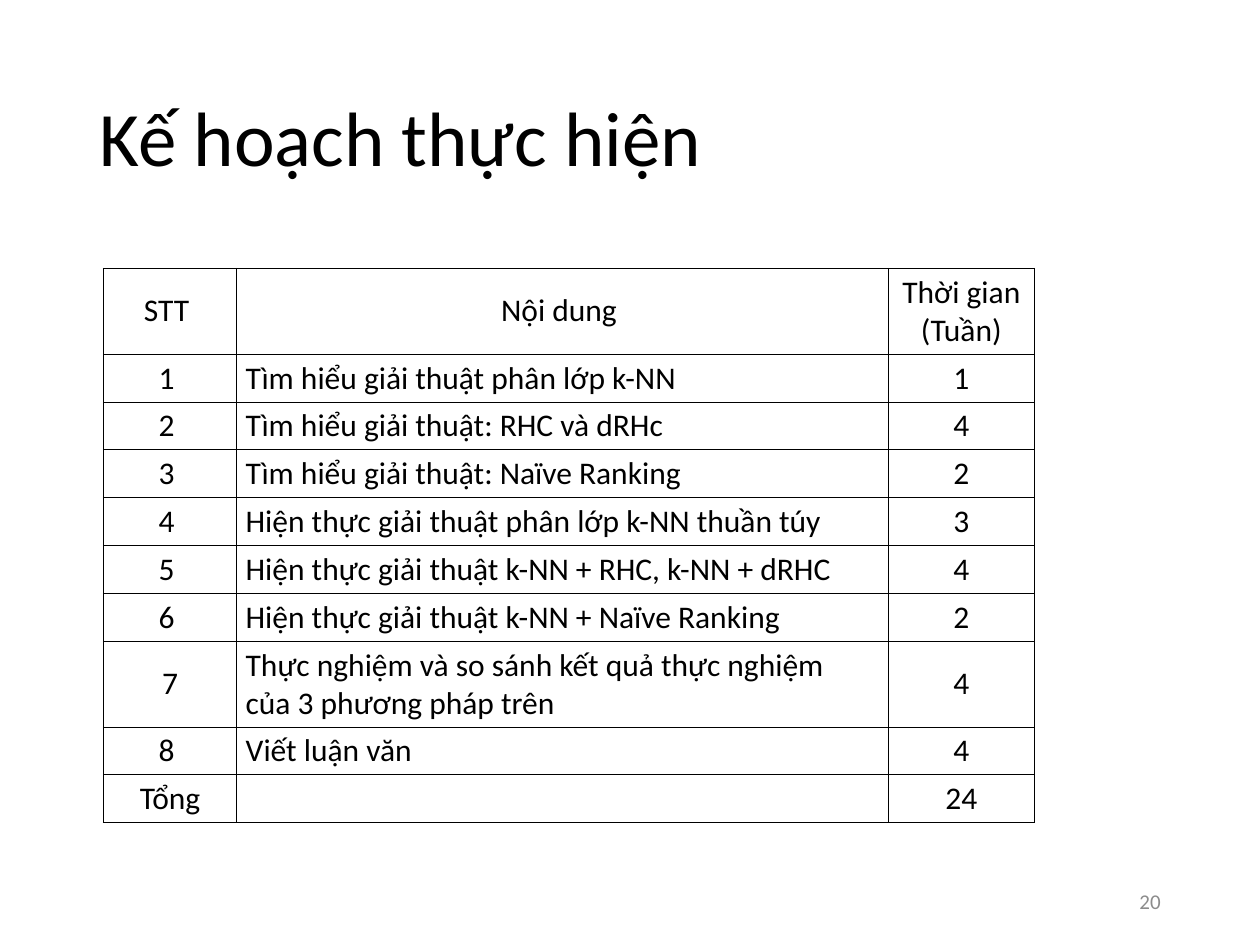
from dataclasses import dataclass

from lxml import etree
from pptx import Presentation
from pptx import util as u
from pptx.dml.color import RGBColor
from pptx.enum import text
from pptx.oxml import ns


@dataclass(frozen=True)
class Theme:
    font: str = "Calibri"
    ink: str = "000000"
    muted: str = "8C8C8C"
    title_size: int = 44
    table_size: int = 18
    number_size: int = 12
    border_width: float = 0.5


THEME = Theme()
LEFT, CENTER, RIGHT = (
    text.PP_ALIGN.LEFT, text.PP_ALIGN.CENTER, text.PP_ALIGN.RIGHT)
MIDDLE = text.MSO_ANCHOR.MIDDLE

COLUMN_WIDTHS = (1.06, 5.17, 1.16)
LINE_ROW, DOUBLE_ROW = 0.38, 0.68
MARGINS = {"margin_left": 0.07, "margin_right": 0.07,
           "margin_top": 0.04, "margin_bottom": 0.04}
PLAN = (
    ("STT ", "Nội dung ", "Thời gian (Tuần)"),
    ("1 ", "Tìm hiểu giải thuật phân lớp k-NN", "1"),
    ("2 ", "Tìm hiểu giải thuật: RHC và dRHc", "4"),
    ("3 ", "Tìm hiểu giải thuật: Naïve Ranking", "2"),
    ("4 ", "Hiện thực giải thuật phân lớp k-NN thuần túy", "3"),
    ("5 ", "Hiện thực giải thuật k-NN + RHC, k-NN + dRHC", "4"),
    ("6 ", "Hiện thực giải thuật k-NN + Naïve Ranking", "2"),
    ("7", "Thực nghiệm và so sánh kết quả thực nghiệm\n"
          "của 3 phương pháp trên", "4"),
    ("8 ", "Viết luận văn", "4"),
    ("Tổng", "", "24"),
)
DOUBLE_ROWS = (0, 7)


def apply_format(target, values):
    for name, value in values.items():
        setattr(target, name, value)


def write_text(para, content, size, color, align):
    para.text = content
    para.alignment = align
    for span in para.runs:
        apply_format(span.font, {"name": THEME.font, "size": u.Pt(size)})
        span.font.color.rgb = RGBColor.from_string(color)


def add_text(page, bounds, content, size, color, align=LEFT, spacing=None):
    box = page.shapes.add_textbox(*map(u.Inches, bounds))
    apply_format(box.text_frame,
                 {"word_wrap": True, "vertical_anchor": MIDDLE})
    para = box.text_frame.paragraphs[0]
    write_text(para, content, size, color, align)
    para.line_spacing = spacing


def add_borders(cell):
    properties = cell._tc.get_or_add_tcPr()
    for position, side in enumerate(("lnL", "lnR", "lnT", "lnB")):
        line = etree.Element(ns.qn(f"a:{side}"),
                             w=str(u.Pt(THEME.border_width)))
        fill = etree.SubElement(line, ns.qn("a:solidFill"))
        etree.SubElement(fill, ns.qn("a:srgbClr"), val=THEME.ink)
        properties.insert(position, line)


def format_cell(cell, content, align):
    cell.fill.background()
    cell.vertical_anchor = MIDDLE
    apply_format(cell, {side: u.Inches(gap) for side, gap in MARGINS.items()})
    write_text(cell.text_frame.paragraphs[0], content,
               THEME.table_size, THEME.ink, align)
    add_borders(cell)


def add_plan_table(page, left, top):
    heights = [DOUBLE_ROW if index in DOUBLE_ROWS else LINE_ROW
               for index in range(len(PLAN))]
    bounds = (left, top, sum(COLUMN_WIDTHS), sum(heights))
    table = page.shapes.add_table(
        len(PLAN), len(COLUMN_WIDTHS), *map(u.Inches, bounds)).table
    apply_format(table, {"first_row": False, "horz_banding": False})
    for column, width in zip(table.columns, COLUMN_WIDTHS):
        column.width = u.Inches(width)
    for row_index, (row, height) in enumerate(zip(table.rows, heights)):
        row.height = u.Inches(height)
        for column_index, content in enumerate(PLAN[row_index]):
            is_task = column_index == 1 and row_index > 0
            format_cell(row.cells[column_index], content,
                        LEFT if is_task else CENTER)


def main():
    deck = Presentation()
    apply_format(deck, {"slide_width": u.Inches(10),
                        "slide_height": u.Inches(7.5)})
    page = deck.slides.add_slide(deck.slide_layouts[6])
    add_text(page, (0.69, 0.4, 8.62, 1.45), "Kế hoạch thực hiện",
             THEME.title_size, THEME.ink, spacing=0.9)
    add_plan_table(page, 0.82, 2.13)
    add_text(page, (7.06, 6.95, 2.25, 0.4), "20",
             THEME.number_size, THEME.muted, RIGHT)
    deck.save("out.pptx")


if __name__ == "__main__":
    main()
